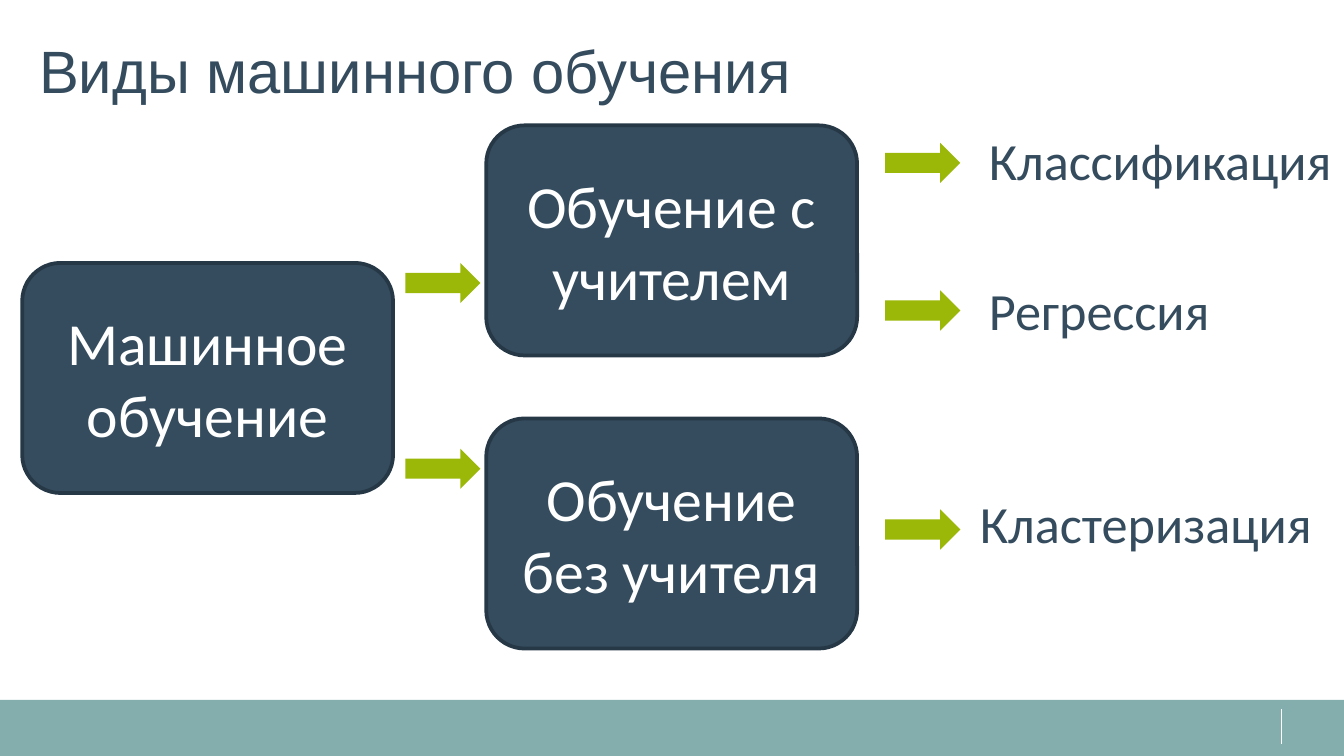
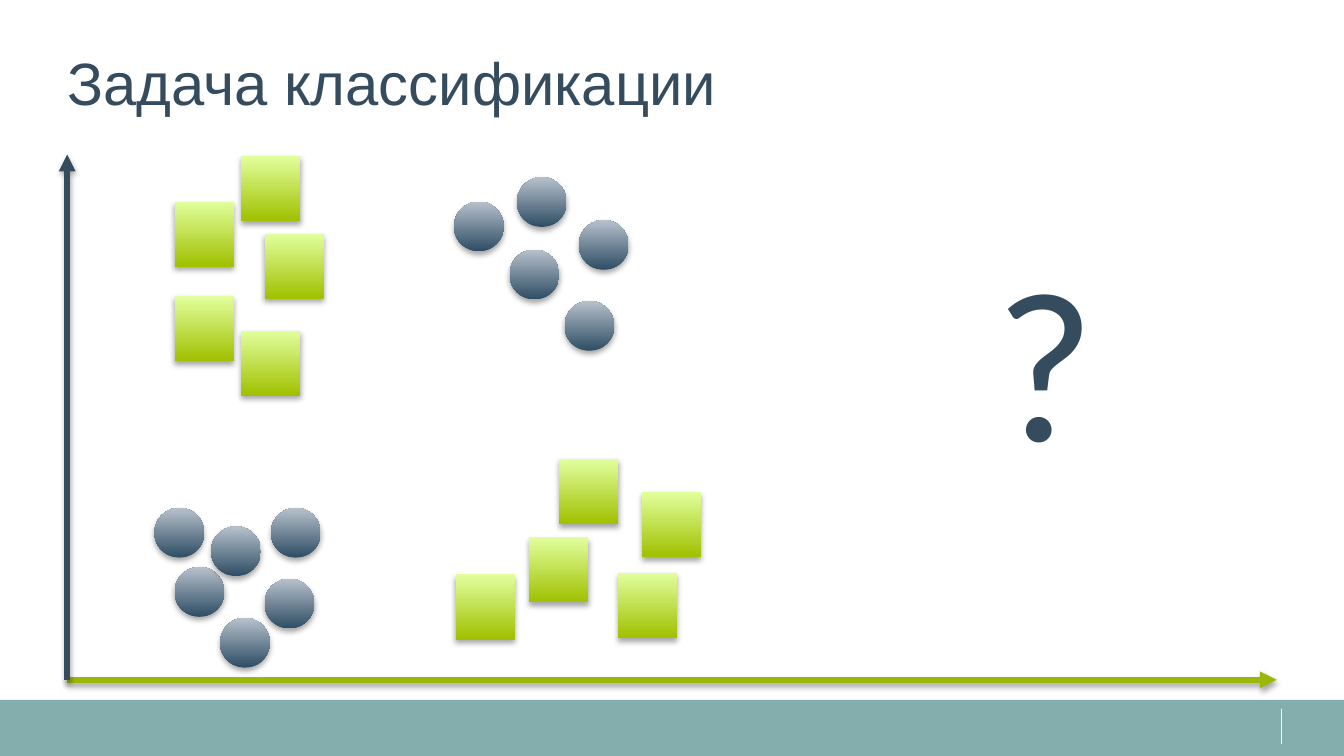
from dataclasses import dataclass

import pptx
import pptx.dml.color
import pptx.enum.shapes
import pptx.enum.text
import pptx.oxml
import pptx.oxml.ns
import pptx.presentation
import pptx.shapes.base
import pptx.slide
import pptx.text.text
import pptx.util

Cm = pptx.util.Cm
Pt = pptx.util.Pt
RGBColor = pptx.dml.color.RGBColor
Shape = pptx.enum.shapes.MSO_SHAPE
Anchor = pptx.enum.text.MSO_ANCHOR
Align = pptx.enum.text.PP_ALIGN

# Palette
NAVY = RGBColor(0x34, 0x4C, 0x5E)
DARK_NAVY = RGBColor(0x26, 0x38, 0x46)
GREEN = RGBColor(0x9B, 0xB8, 0x08)
TEAL = RGBColor(0x84, 0xAE, 0xAD)
WHITE = RGBColor(0xFF, 0xFF, 0xFF)
GREEN_SHADE = (RGBColor(0xA0, 0xC0, 0x00), RGBColor(0xE1, 0xFF, 0x9D))
NAVY_SHADE = (RGBColor(0x2E, 0x4D, 0x64), RGBColor(0xB7, 0xC1, 0xCC))

# Text formats
TITLE = {"name": "Arial", "size": Pt(32)}
BOX_TEXT = {"name": "Calibri", "size": Pt(32)}
LABEL = {"name": "Calibri", "size": Pt(28)}
QUESTION = {"name": "Calibri", "size": Pt(115)}

# Page size in centimetres
PAGE_WIDTH, PAGE_HEIGHT = 25.4, 14.29
BAND_TOP = 13.23


@dataclass(frozen=True)
class Area:
    """A rectangle in centimetres."""
    left: float
    top: float
    width: float
    height: float

    def lengths(self) -> tuple[pptx.util.Length, ...]:
        return Cm(self.left), Cm(self.top), Cm(self.width), Cm(self.height)


@dataclass(frozen=True)
class Marker:
    """The look and size of one class of data points."""
    kind: Shape
    width: float
    height: float
    shade: tuple[RGBColor, RGBColor]


SQUARE = Marker(Shape.RECTANGLE, 1.12, 1.23, GREEN_SHADE)
CIRCLE = Marker(Shape.OVAL, 0.94, 0.94, NAVY_SHADE)


def set_effects(shape: pptx.shapes.base.BaseShape, soft_shadow: bool = False) -> None:
    """Replace the theme shadow by none or by a soft one; call after fill and line."""
    shadow = (
        '<a:outerShdw blurRad="39370" dist="22860" dir="5400000" rotWithShape="0">'
        '<a:srgbClr val="000000"><a:alpha val="35000"/></a:srgbClr></a:outerShdw>'
    ) if soft_shadow else ""
    shape._element.spPr.append(pptx.oxml.parse_xml(
        f'<a:effectLst {pptx.oxml.ns.nsdecls("a")}>{shadow}</a:effectLst>'))


def write(frame: pptx.text.text.TextFrame, text: str, values: dict, color: RGBColor) -> None:
    para = frame.paragraphs[0]
    span = para.add_run()
    span.text = text
    for name, value in values.items():
        setattr(span.font, name, value)
    span.font.color.rgb = color


def add_text(page: pptx.slide.Slide, area: Area, text: str, values: dict,
             wrap: bool = False) -> None:
    frame = page.shapes.add_textbox(*area.lengths()).text_frame
    settings = {"margin_left": 0, "margin_top": 0, "margin_right": 0,
                "margin_bottom": 0, "word_wrap": wrap}
    for name, value in settings.items():
        setattr(frame, name, value)
    write(frame, text, values, NAVY)


def add_solid(page: pptx.slide.Slide, kind: Shape, area: Area, color: RGBColor) -> None:
    shape = page.shapes.add_shape(kind, *area.lengths())
    shape.fill.solid()
    shape.fill.fore_color.rgb = color
    shape.line.fill.background()
    set_effects(shape)


def add_box(page: pptx.slide.Slide, area: Area, text: str) -> None:
    box = page.shapes.add_shape(Shape.ROUNDED_RECTANGLE, *area.lengths())
    box.fill.solid()
    box.fill.fore_color.rgb = NAVY
    box.line.color.rgb = DARK_NAVY
    box.line.width = Pt(2)
    set_effects(box)
    frame = box.text_frame
    frame.word_wrap = True
    frame.vertical_anchor = Anchor.MIDDLE
    frame.paragraphs[0].alignment = Align.CENTER
    write(frame, text, BOX_TEXT, WHITE)


def add_line(page: pptx.slide.Slide, start: tuple[float, float], end: tuple[float, float],
             color: RGBColor, width: float, axis: bool = False) -> None:
    line = page.shapes.add_connector(
        pptx.enum.shapes.MSO_CONNECTOR.STRAIGHT, *map(Cm, start + end))
    line.line.color.rgb = color
    line.line.width = Pt(width)
    if axis:
        outline = line._element.spPr.find(pptx.oxml.ns.qn("a:ln"))
        outline.append(pptx.oxml.parse_xml(
            f'<a:tailEnd {pptx.oxml.ns.nsdecls("a")} type="triangle"/>'))
    set_effects(line, soft_shadow=axis)


def add_marker(page: pptx.slide.Slide, marker: Marker, left: float, top: float) -> None:
    area = Area(left, top, marker.width, marker.height)
    point = page.shapes.add_shape(marker.kind, *area.lengths())
    point.fill.gradient()
    point.fill.gradient_angle = 90
    for stop, color in zip(point.fill.gradient_stops, marker.shade):
        stop.color.rgb = color
    point.line.fill.background()
    set_effects(point, soft_shadow=True)


def add_page(deck: pptx.presentation.Presentation, title: str,
             left: float, top: float) -> pptx.slide.Slide:
    """Add a page with the shared footer band and title."""
    page = deck.slides.add_slide(deck.slide_layouts[6])
    band = Area(0, BAND_TOP, PAGE_WIDTH, PAGE_HEIGHT - BAND_TOP)
    add_solid(page, Shape.RECTANGLE, band, TEAL)
    add_line(page, (24.22, 13.41), (24.22, 14.07), WHITE, 0.75)
    add_text(page, Area(left, top, 22.86, 2.41), title, TITLE, wrap=True)
    return page


def build_kinds(deck: pptx.presentation.Presentation) -> None:
    page = add_page(deck, "Виды машинного обучения", 0.74, 0.64)

    # Boxes of the tree
    boxes = [
        (0.42, 4.97, "Машинное обучение"),
        (9.19, 2.37, "Обучение с учителем"),
        (9.19, 7.91, "Обучение без учителя"),
    ]
    for left, top, text in boxes:
        add_box(page, Area(left, top, 7.01, 4.35), text)

    # Arrows, one column after each level
    arrow_columns = {7.66: (4.97, 8.48), 16.73: (2.7, 5.49, 9.63)}
    for left, tops in arrow_columns.items():
        for top in tops:
            add_solid(page, Shape.RIGHT_ARROW, Area(left, top, 1.42, 0.76), GREEN)

    # Tasks, each wide enough for one line
    tasks = [
        (18.69, 2.43, "Классификация"),
        (18.69, 5.26, "Регрессия"),
        (18.52, 9.29, "Кластеризация"),
    ]
    for left, top, text in tasks:
        add_text(page, Area(left, top, 6.6, 1.6), text, LABEL)


def build_classification(deck: pptx.presentation.Presentation) -> None:
    page = add_page(deck, "Задача классификации", 1.27, 0.86)

    # Axes
    origin = (1.27, 12.85)
    add_line(page, origin, (24.13, 12.85), GREEN, 3, axis=True)
    add_line(page, origin, (1.27, 2.92), NAVY, 3, axis=True)

    # Data points of both classes, each in two groups
    points = {
        SQUARE: [
            (3.3, 3.81), (5, 4.42), (3.3, 5.6), (4.56, 6.25), (4.56, 2.95),
            (10.57, 8.68), (10, 10.16), (12.13, 9.3), (11.68, 10.83), (8.61, 10.86),
        ],
        CIRCLE: [
            (8.58, 3.81), (9.77, 3.35), (9.63, 4.72), (10.94, 4.16), (10.67, 5.69),
            (3.3, 10.72), (3.99, 9.95), (5, 10.94), (5.12, 9.6), (2.92, 9.6), (4.16, 11.68),
        ],
    }
    for marker, places in points.items():
        for left, top in places:
            add_marker(page, marker, left, top)

    add_text(page, Area(18.82, 4.29, 2.54, 5), "?", QUESTION)


def main() -> None:
    deck = pptx.Presentation()
    deck.slide_width = Cm(PAGE_WIDTH)
    deck.slide_height = Cm(PAGE_HEIGHT)
    build_kinds(deck)
    build_classification(deck)
    deck.save("out.pptx")


if __name__ == "__main__":
    main()
